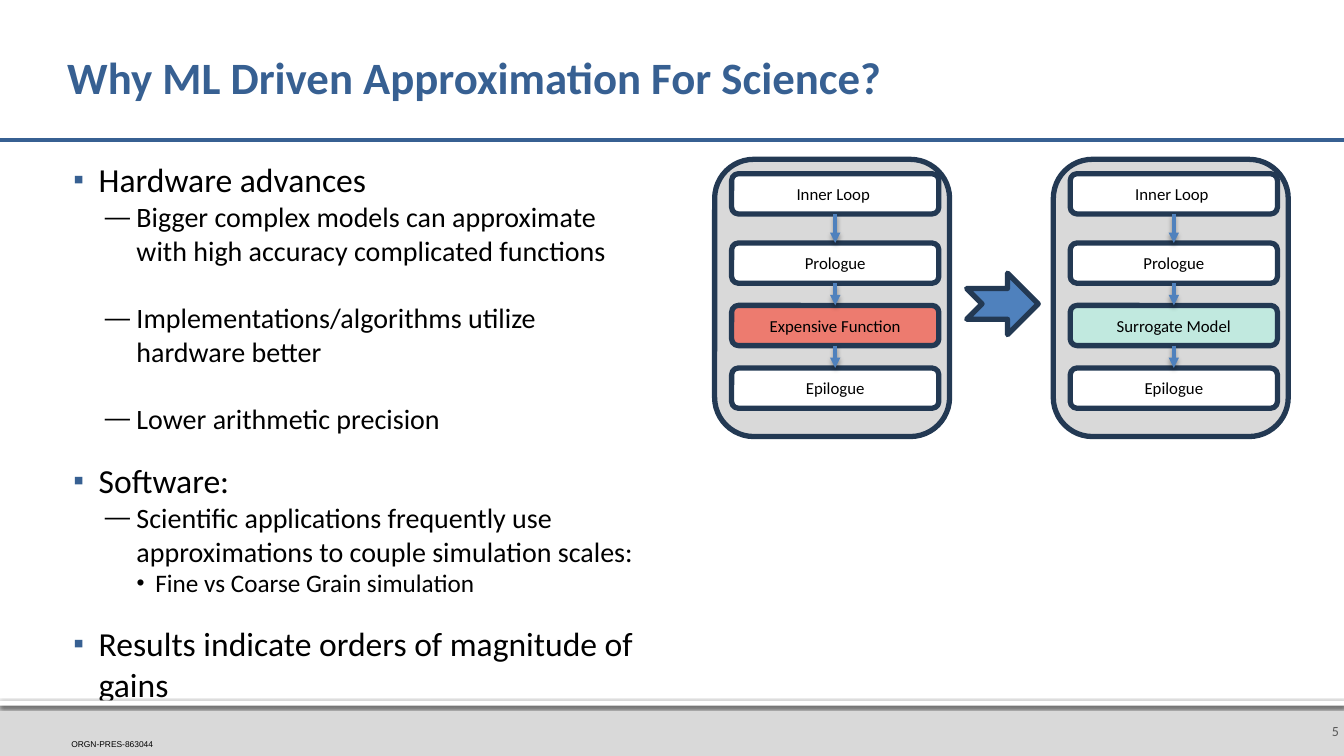
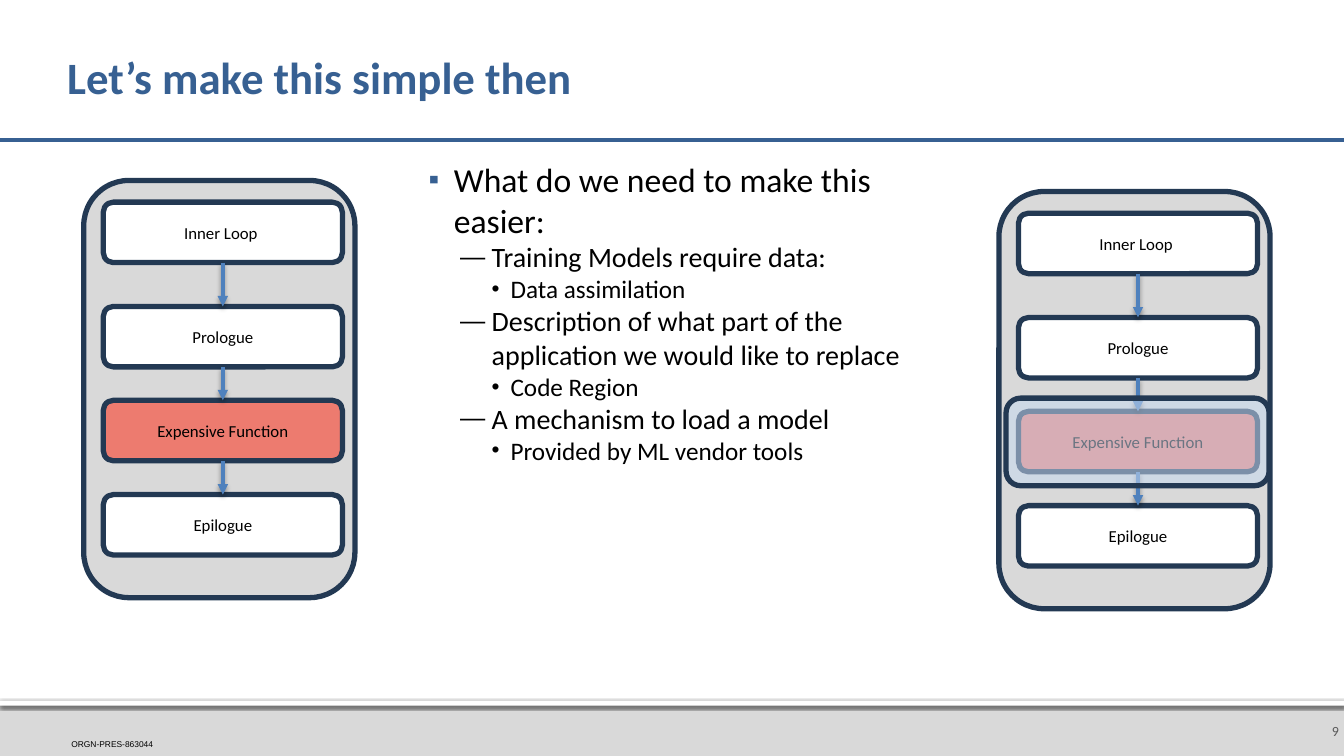
from lxml.etree import SubElement
from pptx import Presentation
from pptx.dml.color import RGBColor
from pptx.enum.shapes import MSO_CONNECTOR, MSO_SHAPE
from pptx.enum.text import MSO_ANCHOR, MSO_AUTO_SIZE, PP_ALIGN
from pptx.oxml.ns import qn
from pptx.util import Pt

RECT = MSO_SHAPE.RECTANGLE
ROUND = MSO_SHAPE.ROUNDED_RECTANGLE
ARROW = MSO_SHAPE.NOTCHED_RIGHT_ARROW
LINE = MSO_CONNECTOR.STRAIGHT
TOP, MIDDLE, BOTTOM = MSO_ANCHOR.TOP, MSO_ANCHOR.MIDDLE, MSO_ANCHOR.BOTTOM
LEFT, CENTER, RIGHT = PP_ALIGN.LEFT, PP_ALIGN.CENTER, PP_ALIGN.RIGHT
FIXED = MSO_AUTO_SIZE.NONE

WHITE = RGBColor(0xFF, 0xFF, 0xFF)
BLACK = RGBColor(0x00, 0x00, 0x00)
GREY = RGBColor(0xD9, 0xD9, 0xD9)
SLATE = RGBColor(0x59, 0x59, 0x59)
BLUE = RGBColor(0x37, 0x60, 0x92)
SKY = RGBColor(0x4F, 0x81, 0xBD)
NAVY = RGBColor(0x23, 0x39, 0x53)
RED = RGBColor(0xFF, 0x2C, 0x16)
MINT = RGBColor(0xAE, 0xF8, 0xE5)
ICE = RGBColor(0xC6, 0xD9, 0xF1)

WIDE, HIGH = 960, 540
BAND = 500.4
FACE = "Calibri"
CLEAR = 54
LEVELS = [
    (24, 22.5, 18, 18, "▪", BLUE),
    (20, 49.5, 22.5, 0, "—", None),
    (18, 63, 13.5, 0, "•", None),
]
ROWS = (0.052, 0.302, 0.527, 0.753)
GAP = 24

WHY = [
    (0, "Hardware advances", 0),
    (1, "Bigger complex models can approximate with high accuracy "
        "complicated functions", 0),
    (1, "Implementations/algorithms utilize hardware better", GAP),
    (1, "Lower arithmetic precision", GAP),
    (0, "Software:", 0),
    (1, "Scientific applications frequently use approximations to couple "
        "simulation scales:", 0),
    (2, "Fine vs Coarse Grain simulation", 0),
    (0, "Results indicate orders of magnitude of gains", 0),
]
NEEDS = [
    (0, "What do we need to make this easier:", 0),
    (1, "Training Models require data:", 0),
    (2, "Data assimilation", 0),
    (1, "Description of what part of the application we would like to replace", 0),
    (2, "Code Region", 0),
    (1, "A mechanism to load a model", 0),
    (2, "Provided by ML vendor tools", 0),
]


def place(shape, spot):
    shape.left, shape.top, shape.width, shape.height = map(Pt, spot)


def setup(frame, anchor, pads):
    frame.word_wrap = True
    frame.auto_size = FIXED
    frame.vertical_anchor = anchor
    (frame.margin_left, frame.margin_top,
     frame.margin_right, frame.margin_bottom) = map(Pt, pads)


def write(para, text, size, color=BLACK, face=FACE, bold=False, align=LEFT):
    para.alignment = align
    run = para.add_run()
    run.text = text
    run.font.size = Pt(size)
    run.font.name = face
    run.font.bold = bold
    run.font.color.rgb = color


def shade(shape, alpha, blur, drop):
    props = shape.element.spPr
    glow = props.find(qn("a:effectLst"))
    if glow is None:
        glow = SubElement(props, qn("a:effectLst"))
    cast = SubElement(glow, qn("a:outerShdw"), blurRad=str(Pt(blur)),
                      dist=str(Pt(drop)), dir="5400000", rotWithShape="0")
    tint = SubElement(cast, qn("a:srgbClr"), val=str(BLACK))
    SubElement(tint, qn("a:alpha"), val=str(alpha * 1000))


def shape(shapes, kind, spot, fill, edge=NAVY, alpha=100):
    item = shapes.add_shape(kind, *map(Pt, spot))
    item.shadow.inherit = False
    item.fill.solid()
    item.fill.fore_color.rgb = fill
    if alpha < 100:
        tint = item.element.spPr.find(qn("a:solidFill")).find(qn("a:srgbClr"))
        SubElement(tint, qn("a:alpha"), val=str(alpha * 1000))
    if edge is None:
        item.line.fill.background()
    else:
        item.line.color.rgb = edge
        item.line.width = Pt(3.78)
    return item


def rule(shapes, start, end, color, width, arrow=False):
    line = shapes.add_connector(LINE, *map(Pt, start + end))
    line.line.color.rgb = color
    line.line.width = Pt(width)
    props = line.element.spPr
    if arrow:
        SubElement(props.find(qn("a:ln")), qn("a:tailEnd"), type="triangle")
        shade(line, 38, 3.5, 2)
    else:
        SubElement(props, qn("a:effectLst"))


def label(shapes, spot, text, size, color, face, align, anchor, pads):
    box = shapes.add_textbox(*map(Pt, spot))
    setup(box.text_frame, anchor, pads)
    write(box.text_frame.paragraphs[0], text, size, color, face, align=align)


def bullet(para, text, level, extra):
    size, left, hang, before, mark, color = LEVELS[level]
    para.level = level
    para.space_before = Pt(before + extra)
    para.space_after = Pt(0)
    write(para, text, size)
    props = para._p.get_or_add_pPr()
    props.set("marL", str(Pt(left)))
    props.set("indent", str(Pt(-hang)))
    if color is not None:
        SubElement(SubElement(props, qn("a:buClr")), qn("a:srgbClr"),
                   val=str(color))
    SubElement(props, qn("a:buSzPct"), val="90000")
    SubElement(props, qn("a:buFont"), typeface="Arial")
    SubElement(props, qn("a:buChar"), char=mark)


def outline(slide, spot, items):
    body = slide.placeholders[1]
    place(body, spot)
    frame = body.text_frame
    setup(frame, TOP, (0, 0, 0, 0))
    for i, (level, text, extra) in enumerate(items):
        para = frame.add_paragraph() if i else frame.paragraphs[0]
        bullet(para, text, level, extra)


def page(deck, title, number):
    slide = deck.slides.add_slide(deck.slide_layouts[1])
    shapes = slide.shapes
    shape(shapes, RECT, (0, BAND, WIDE, HIGH - BAND), GREY, None)
    strip = shape(shapes, RECT, (0, BAND, WIDE, 3.6), WHITE, None)
    shade(strip, 60, 2.5, 0.8)
    label(shapes, (926.8, 504, 33.2, 36), number, 10, SLATE, FACE,
          RIGHT, MIDDLE, (7.2, 3.6, 3.6, 3.6))
    label(shapes, (51, 527.6, 91.5, 7.2), "ORGN-PRES-863044", 6, BLACK,
          "Arial", LEFT, BOTTOM, (0, 0, 0, 0))
    rule(shapes, (0, 100), (WIDE, 100), BLUE, 3)
    head = shapes.title
    place(head, (48, 17.3, 864, 79.2))
    setup(head.text_frame, MIDDLE, (0, 3.6, 3.6, 3.6))
    para = head.text_frame.paragraphs[0]
    para.line_spacing = 0.9
    write(para, title, 32, BLUE, bold=True)
    return slide


def chain(slide, spot, step="Expensive Function", tint=RED):
    left, top, width, height = spot
    shapes = slide.shapes.add_group_shape().shapes
    shape(shapes, ROUND, spot, GREY)
    x, wide, tall = left + width * 0.072, width * 0.882, height * 0.145
    steps = [("Inner Loop ", WHITE, 100), ("Prologue", WHITE, 100),
             (step, tint, CLEAR), ("Epilogue", WHITE, 100)]
    tops = [top + height * row for row in ROWS]
    for y, (text, fill, alpha) in zip(tops, steps):
        box = shape(shapes, ROUND, (x, y, wide, tall), fill, alpha=alpha)
        setup(box.text_frame, MIDDLE, (7.2, 3.6, 7.2, 3.6))
        write(box.text_frame.paragraphs[0], text, 12, align=CENTER)
    mid = x + wide / 2
    for y, below in zip(tops, tops[1:]):
        rule(shapes, (mid, y + tall), (mid, below), SKY, 2.5, True)


def main():
    deck = Presentation()
    deck.slide_width, deck.slide_height = Pt(WIDE), Pt(HIGH)

    slide = page(deck, "Why ML Driven Approximation For Science?", "5")
    outline(slide, (48, 113.8, 409, 386.6), WHY)
    chain(slide, (510.5, 113.8, 167.8, 198))
    chain(slide, (752.4, 113.8, 167.8, 198), "Surrogate Model", MINT)
    shape(slide.shapes, ARROW, (690.5, 195.1, 51.1, 43.9), SKY)

    slide = page(deck, "Let’s make this simple then", "9")
    outline(slide, (301.7, 113.8, 369.4, 386.6), NEEDS)
    chain(slide, (59.8, 128.9, 193.7, 298))
    chain(slide, (713.5, 136.8, 193.7, 298))
    shape(slide.shapes, ROUND, (718.6, 284.4, 187.9, 62.6), ICE, alpha=CLEAR)

    deck.save("out.pptx")


if __name__ == "__main__":
    main()
